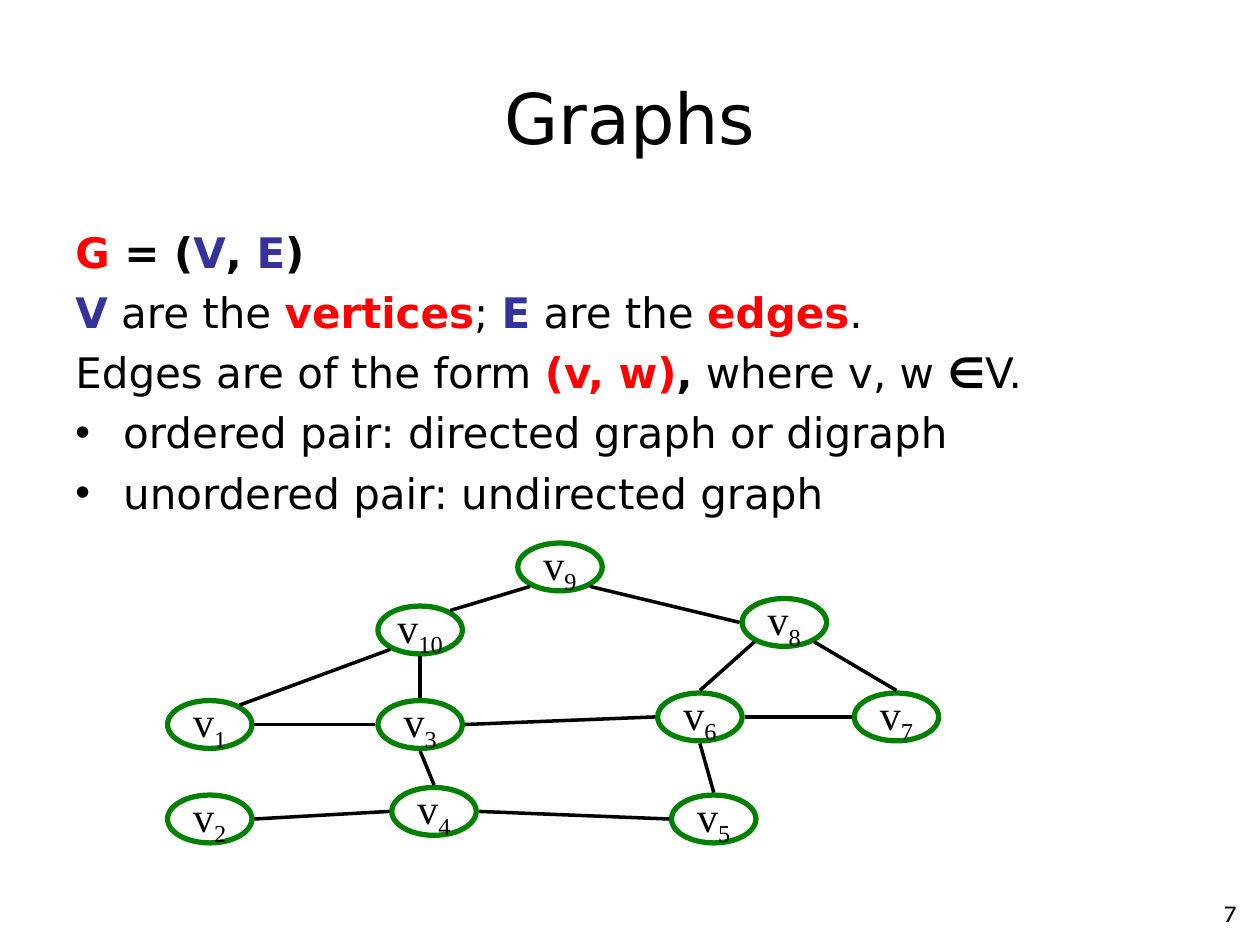
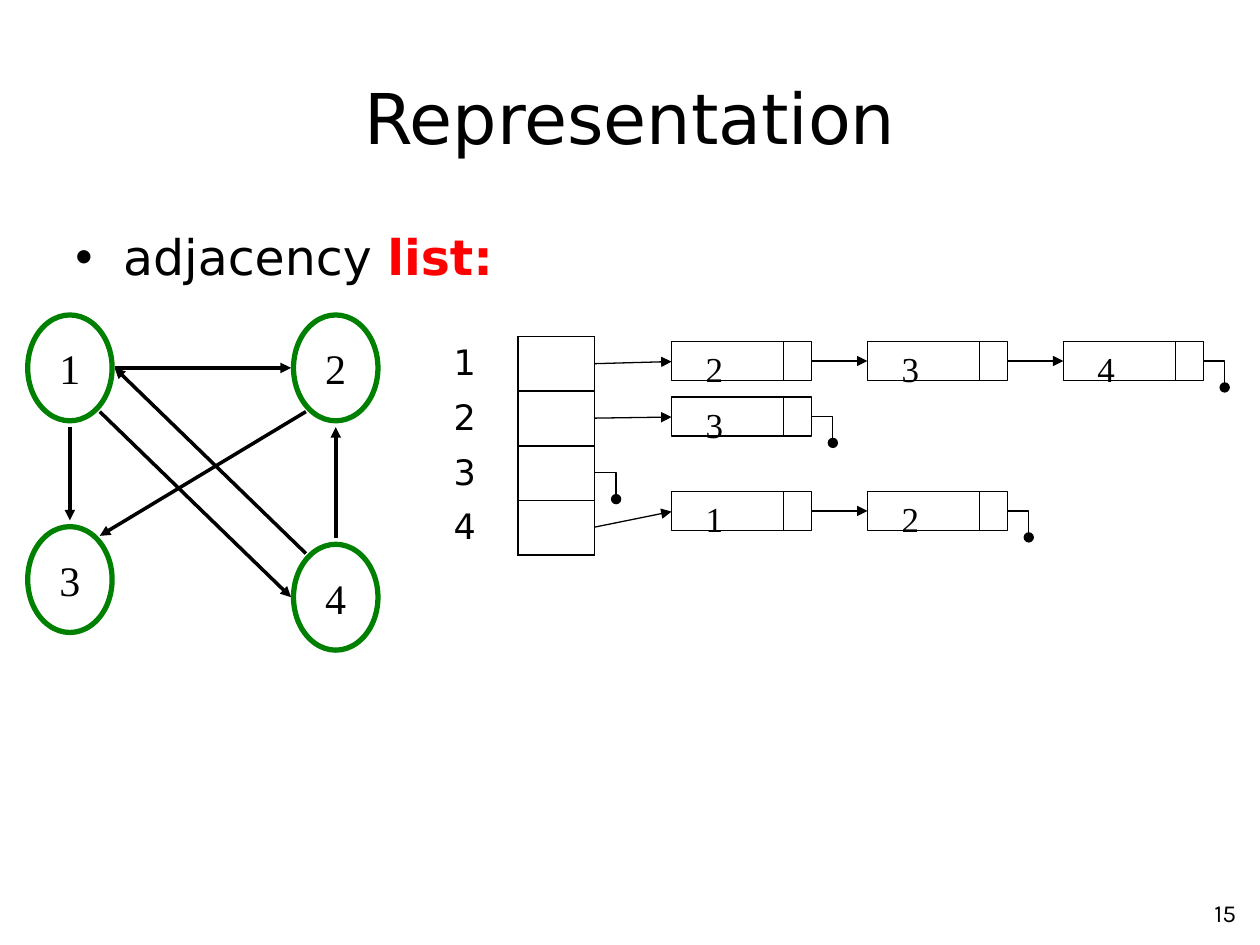
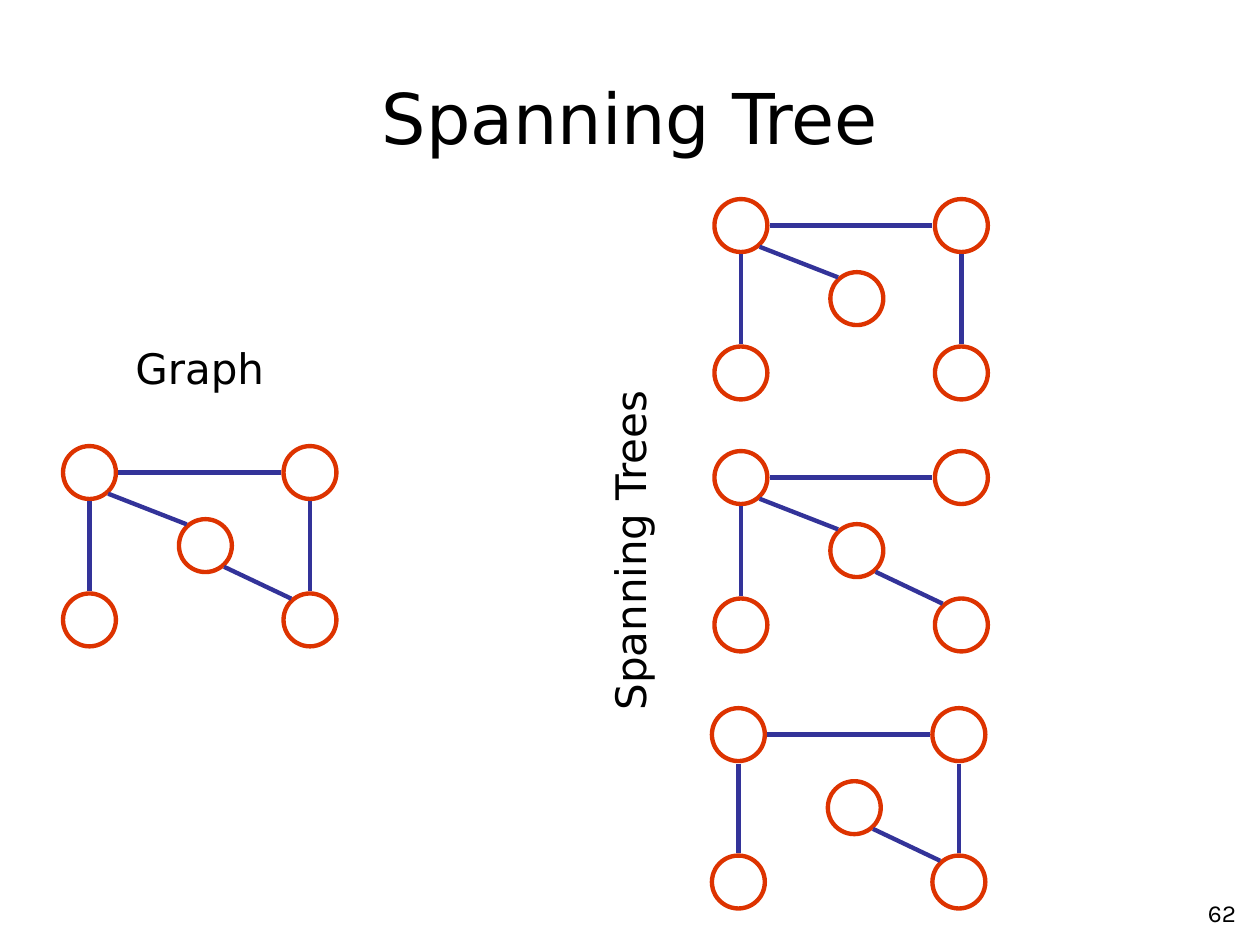
from itertools import pairwise

from lxml.etree import SubElement
from pptx import Presentation
from pptx.dml.color import RGBColor
from pptx.enum.shapes import MSO_CONNECTOR as Connector, MSO_SHAPE as Shape
from pptx.enum.text import MSO_ANCHOR as Anchor, PP_ALIGN as Align
from pptx.oxml.ns import qn
from pptx.util import Inches, Pt

COLORS = {
    "black": "000000", "red": "FF0000", "blue": "333399",
    "green": "008000", "orange": "DD3300",
}
SANS, SERIF, NUMBER_FONT = "DejaVu Sans", "Times New Roman", "Karla"
TITLE_BOX = (0.5, 0.3, 9, 1.25)
BODY_BOX = (0.5, 1.75, 9, 4.95)
NUMBER_BOX = (7.83, 7.08, 2.08, 0.37)
HANGING = 0.38
SPACING_RATIO = 0.23
DIAGONAL = 0.707
SITES = {
    "n": (0, -1), "ne": (1, -1), "e": (1, 0), "se": (1, 1),
    "s": (0, 1), "sw": (-1, 1), "w": (-1, 0), "nw": (-1, -1),
}

VERTEX_STYLE = {"size": (0.67, 0.38), "gap": (0.02, 0.02), "outline": ("green", 3),
                "edge": ("black", 2), "arrow": None}
DIGRAPH_STYLE = VERTEX_STYLE | {"size": (0.67, 0.84), "gap": (0.02, 0.05), "arrow": "triangle"}
TREE_STYLE = {"size": (0.42, 0.42), "gap": (0.02, 0.02), "outline": ("orange", 2.5),
              "edge": ("blue", 2.5), "arrow": None}

DEFINITION = [
    (False, [("G", "red", True), (" = (", "black", True), ("V", "blue", True),
             (", ", "black", True), ("E", "blue", True), (")", "black", True)]),
    (False, [("V", "blue", True), (" are the ", "black", False), ("vertices", "red", True),
             ("; ", "black", False), ("E", "blue", True), (" are the ", "black", False),
             ("edges", "red", True), (".", "black", False)]),
    (False, [("Edges are of the form ", "black", False), ("(v, w)", "red", True),
             (",", "black", True), (" where v, w ", "black", False),
             ("∈", "black", True), ("V.", "black", False)]),
    (True, [("ordered pair: directed graph or digraph", "black", False)]),
    (True, [("unordered pair: undirected graph", "black", False)]),
]
VERTICES = {
    "9": (2.78, 0), "8": (4.56, 0.44), "10": (1.67, 0.5), "3": (1.67, 1.25),
    "6": (3.89, 1.19), "7": (5.45, 1.19), "4": (1.78, 1.94), "5": (4, 2),
    "1": (0, 1.25), "2": (0, 2),
}
VERTEX_EDGES = [
    "10 ne 9 sw", "9 se 8 w", "6 n 8 sw", "8 se 7 n", "6 e 7 w", "1 ne 10 sw",
    "3 n 10 s", "2 e 4 w", "3 e 6 w", "3 w 1 e", "4 n 3 s", "4 e 5 w", "5 n 6 s",
]
DIGRAPH_NODES = {"1": (0, 0), "3": (0, 1.68), "4": (2.11, 1.82), "2": (2.11, 0)}
DIGRAPH_EDGES = ["1 se 4 w", "1 s 3 n", "4 nw 1 e", "2 sw 3 ne", "4 n 2 s", "1 e 2 w"]
ADJACENCY = {"1": (0.04, "234"), "2": (0.48, "3"), "3": (None, ""), "4": (1.23, "12")}
TREE_NODES = {"a": (0, 0), "m": (0.92, 0.58), "b": (1.75, 0), "d": (1.75, 1.17), "c": (0, 1.17)}
TOP, OUTER, INNER, RIGHT, LEFT = "a e b w", "d nw m se", "a se m nw", "b s d n", "a s c n"
TREES = [
    ((0.5, 3.54), [TOP, OUTER, INNER, RIGHT, LEFT]),
    ((5.67, 1.58), [TOP, INNER, RIGHT, LEFT]),
    ((5.67, 3.58), [TOP, OUTER, INNER, LEFT]),
    ((5.65, 5.62), [TOP, OUTER, RIGHT, LEFT]),
]


def color(name):
    """Return the named palette colour."""
    return RGBColor.from_string(COLORS[name])


def apply(target, formats):
    """Set each attribute in a dict of format values."""
    for name, value in formats.items():
        setattr(target, name, value)


def inches(values):
    """Convert several numbers to lengths."""
    return [Inches(value) for value in values]


def add_run(paragraph, text, size, font=SANS, tint="black", bold=False):
    """Add one formatted run."""
    run = paragraph.add_run()
    run.text = text
    apply(run.font, {"name": font, "size": Pt(size), "bold": bold})
    run.font.color.rgb = color(tint)
    return run


def add_label(slide, box, text, size, font=SANS, align=Align.CENTER, wrap=True):
    """Add a text box that holds a single line."""
    shape = slide.shapes.add_textbox(*inches(box))
    shape.text_frame.word_wrap = wrap
    paragraph = shape.text_frame.paragraphs[0]
    paragraph.alignment = align
    add_run(paragraph, text, size, font)
    return shape


def add_outline(slide, kind, box, tint, width):
    """Add an unfilled preset shape."""
    shape = slide.shapes.add_shape(kind, *inches(box))
    shape.shadow.inherit = False
    shape.fill.background()
    shape.line.color.rgb = color(tint)
    shape.line.width = Pt(width)
    return shape


def add_line(slide, start, end, tint="black", width=0.75, arrow=None, bent=False):
    """Add a straight or bent connector with an optional end mark."""
    kind = Connector.ELBOW if bent else Connector.STRAIGHT
    connector = slide.shapes.add_connector(kind, *inches(start + end))
    connector.line.color.rgb = color(tint)
    connector.line.width = Pt(width)
    properties = connector._element.spPr
    if bent:
        properties.find(qn("a:prstGeom")).set("prst", "bentConnector2")
    if arrow:
        SubElement(properties.find(qn("a:ln")), qn("a:tailEnd"), type=arrow)
    SubElement(properties, qn("a:effectLst"))


def add_base(presentation, title, number):
    """Add a slide with its title and page number."""
    slide = presentation.slides.add_slide(presentation.slide_layouts[5])
    placeholder = slide.shapes.title
    apply(placeholder, dict(zip(("left", "top", "width", "height"), inches(TITLE_BOX))))
    placeholder.text_frame.vertical_anchor = Anchor.MIDDLE
    paragraph = placeholder.text_frame.paragraphs[0]
    paragraph.alignment = Align.CENTER
    add_run(paragraph, title, 40)
    add_label(slide, NUMBER_BOX, number, 14, NUMBER_FONT, Align.RIGHT)
    return slide


def add_body(slide, box, lines, size):
    """Add hanging paragraphs, some of them bulleted."""
    frame = slide.shapes.add_textbox(*inches(box)).text_frame
    frame.word_wrap = True
    for index, (bulleted, runs) in enumerate(lines):
        paragraph = frame.add_paragraph() if index else frame.paragraphs[0]
        apply(paragraph, {"alignment": Align.JUSTIFY, "space_before": Pt(size * SPACING_RATIO)})
        properties = paragraph._p.get_or_add_pPr()
        properties.set("marL", str(Inches(HANGING)))
        properties.set("indent", str(Inches(-HANGING)))
        if bulleted:
            SubElement(properties, qn("a:buFont"), typeface="Arial")
            SubElement(properties, qn("a:buChar"), char="•")
        for text, tint, bold in runs:
            add_run(paragraph, text, size, SANS, tint, bold)


def site_point(corner, site, style):
    """Return the point just outside a node at a compass site."""
    across, down = SITES[site]
    (width, height), (gap_x, gap_y) = style["size"], style["gap"]
    reach_x, reach_y = width / 2 + gap_x, height / 2 + gap_y
    if across and down:
        reach_x, reach_y = DIAGONAL * width / 2, DIAGONAL * height / 2 + gap_y
    return corner[0] + width / 2 + across * reach_x, corner[1] + height / 2 + down * reach_y


def add_graph(slide, origin, nodes, edges, style, label=None):
    """Draw nodes and the edges between their sites from an origin."""
    corners = {name: (origin[0] + x, origin[1] + y) for name, (x, y) in nodes.items()}
    for name, corner in corners.items():
        shape = add_outline(slide, Shape.OVAL, corner + style["size"], *style["outline"])
        if label:
            apply(shape.text_frame, {"word_wrap": False, "vertical_anchor": Anchor.MIDDLE})
            paragraph = shape.text_frame.paragraphs[0]
            paragraph.alignment = Align.CENTER
            label(paragraph, name)
    for edge in edges:
        source, leave, target, enter = edge.split()
        add_line(slide, site_point(corners[source], leave, style),
                 site_point(corners[target], enter, style), *style["edge"], style["arrow"])


def label_vertex(paragraph, name):
    """Write v with a subscript."""
    add_run(paragraph, "v", 24, SERIF)
    subscript = add_run(paragraph, name, 24, SERIF)
    subscript.font._element.set("baseline", "-25000")


def label_number(paragraph, name):
    """Write a plain node number."""
    add_run(paragraph, name, 24, SERIF)


def set_borders(cell, sides):
    """Draw thin black borders on the given sides of a cell."""
    properties = cell._tc.get_or_add_tcPr()
    for side in sides:
        line = SubElement(properties, qn(f"a:ln{side}"), w=str(Pt(1)))
        fill = SubElement(line, qn("a:solidFill"))
        SubElement(fill, qn("a:srgbClr"), val=COLORS["black"])


def add_heads(slide, box, labels):
    """Add the table of list heads."""
    table = slide.shapes.add_table(len(labels), 2, *inches(box)).table
    apply(table, {"first_row": False, "horz_banding": False})
    for row, text in zip(table.rows, labels):
        row.height = Inches(0.39)
        for cell, sides in zip(row.cells, ("R", "LRTB")):
            set_borders(cell, sides)
            cell.fill.background()
            cell.vertical_anchor = Anchor.MIDDLE
        add_run(row.cells[0].text_frame.paragraphs[0], text, 20)


def add_end(slide, x, y):
    """Close a list with a bent line that ends in a dot."""
    add_line(slide, (x, y), (x + 0.17, y + 0.21), arrow="oval", bent=True)


def add_chain(slide, left, top, values):
    """Draw one linked list of cells."""
    width, height, pitch, pointer = 1.11, 0.31, 1.555, 0.89
    middle = top + height / 2
    starts = [left + index * pitch for index in range(len(values))]
    for x, value in zip(starts, values):
        add_outline(slide, Shape.RECTANGLE, (x, top, width, height), "black", 0.75)
        add_label(slide, (x + 0.17, top, 0.34, 0.43), value, 20, SERIF, wrap=False)
        add_line(slide, (x + pointer, top), (x + pointer, top + height))
    for x, following in pairwise(starts):
        add_line(slide, (x + width, middle), (following, middle), arrow="triangle")
    add_end(slide, starts[-1] + width, middle)


def add_adjacency(slide, box):
    """Draw the list heads and the chain that leaves each of them."""
    left, top, width, height = box
    add_heads(slide, box, ADJACENCY)
    pitch, edge, chain_left = height / len(ADJACENCY), left + width, left + 1.83
    for index, (offset, values) in enumerate(ADJACENCY.values()):
        middle = top + (index + 0.5) * pitch
        if not values:
            add_end(slide, edge, middle)
            continue
        add_chain(slide, chain_left, top + offset, values)
        add_line(slide, (edge, middle), (chain_left, top + offset + 0.16), arrow="triangle")


def build_graphs(presentation):
    """Build the slide that defines graphs."""
    slide = add_base(presentation, "Graphs", "7")
    add_body(slide, BODY_BOX, DEFINITION, 24)
    add_graph(slide, (1.33, 4.31), VERTICES, VERTEX_EDGES, VERTEX_STYLE, label_vertex)


def build_representation(presentation):
    """Build the slide about adjacency lists."""
    slide = add_base(presentation, "Representation", "15")
    add_body(slide, BODY_BOX, [(True, [("adjacency ", "black", False), ("list:", "red", True)])], 28)
    add_adjacency(slide, (3.5, 2.67, 1.22, 1.73))
    add_graph(slide, (0.22, 2.5), DIGRAPH_NODES, DIGRAPH_EDGES, DIGRAPH_STYLE, label_number)


def build_spanning_tree(presentation):
    """Build the slide that compares a graph with its spanning trees."""
    slide = add_base(presentation, "Spanning Tree", "62")
    for origin, edges in TREES:
        add_graph(slide, origin, TREE_NODES, edges, TREE_STYLE)
    add_label(slide, (3.12, 4.12, 3.75, 0.5), "Spanning Trees", 24).rotation = 270
    add_label(slide, (0.42, 2.67, 2.33, 0.5), "Graph", 24)


def main():
    """Build and save the presentation."""
    presentation = Presentation()
    apply(presentation, {"slide_width": Inches(10), "slide_height": Inches(7.5)})
    for build in (build_graphs, build_representation, build_spanning_tree):
        build(presentation)
    presentation.save("out.pptx")


if __name__ == "__main__":
    main()
